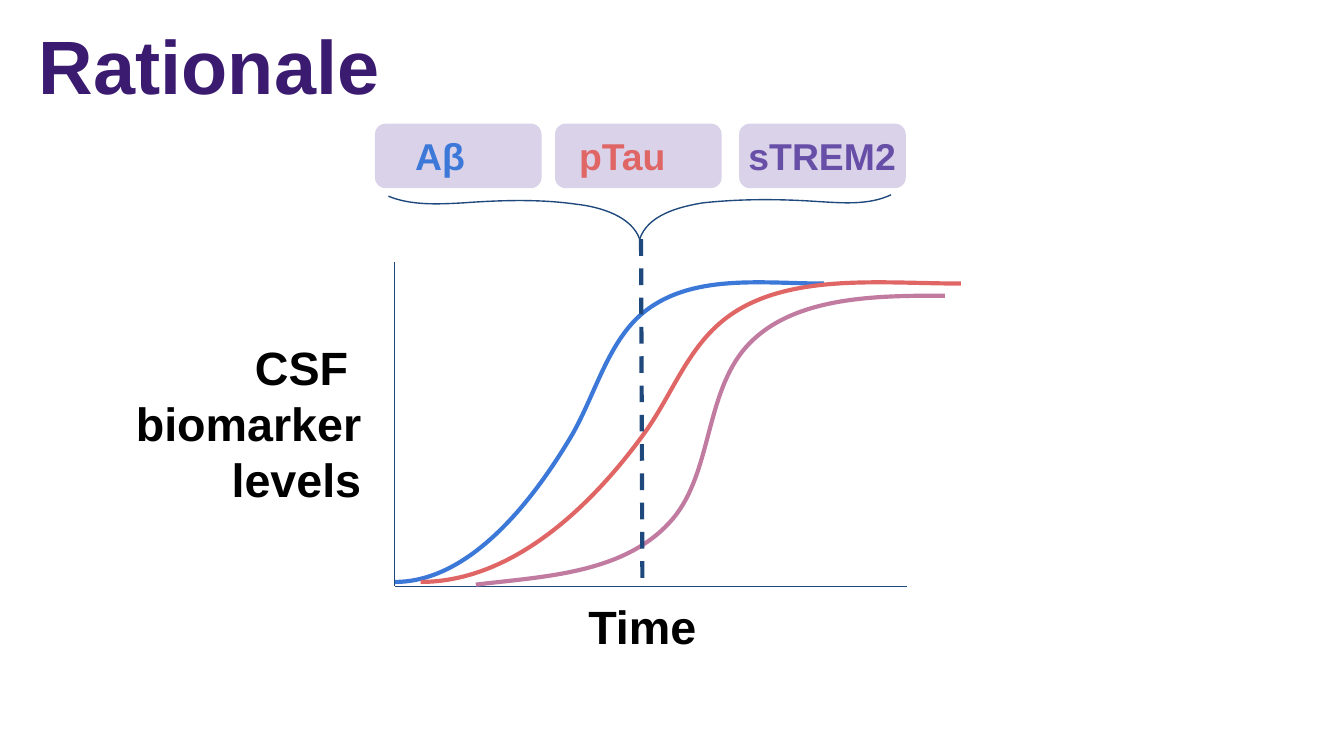
import lxml.etree
import pptx
import pptx.dml.color
import pptx.enum.dml
import pptx.enum.shapes
import pptx.enum.text
import pptx.oxml.ns
import pptx.util

RGBColor = pptx.dml.color.RGBColor
ALIGN = pptx.enum.text.PP_ALIGN
PURPLE = RGBColor(0x3B, 0x1B, 0x70)
BLACK = RGBColor(0x00, 0x00, 0x00)
NAVY = RGBColor(0x1F, 0x49, 0x7D)
BLUE = RGBColor(0x3C, 0x78, 0xD8)
RED = RGBColor(0xE0, 0x66, 0x66)
MAUVE = RGBColor(0xC2, 0x7B, 0xA0)
VIOLET = RGBColor(0x67, 0x4E, 0xA7)
LILAC = RGBColor(0xD9, 0xD2, 0xE9)

COLUMNS = 100
THIN, THICK = 0.75, 2.25
AXIS_LEFT, AXIS_RIGHT, AXIS_TOP, AXIS_BOTTOM = 29.37, 67.47, 19.5, 43.62
CARD_TOP, CARD_WIDTH, CARD_HEIGHT = 9.2, 12.4, 4.8


def write_text(frame, text, size, color, align=ALIGN.LEFT, font="Arial", leading=1.2):
    """Put each line of text in its own bold paragraph."""
    for index, line in enumerate(text.split("\n")):
        para = frame.paragraphs[0] if index == 0 else frame.add_paragraph()
        para.alignment = align
        para.line_spacing = pptx.util.Pt(size * leading)
        span = para.add_run()
        span.text = line
        span.font.name = font
        span.font.size = pptx.util.Pt(size)
        span.font.bold = True
        span.font.color.rgb = color


class SlideBuilder:
    """Draws on one slide with a square grid of 100 columns."""

    def __init__(self, deck):
        self.page = deck.slides.add_slide(deck.slide_layouts[6])
        self.cell = deck.slide_width / COLUMNS

    def grid(self, *cells):
        return [round(count * self.cell) for count in cells]

    def text(self, left, top, width, height, text, **style):
        box = self.page.shapes.add_textbox(*self.grid(left, top, width, height))
        box.text_frame.word_wrap = True
        write_text(box.text_frame, text, **style)

    def card(self, left, top, width, height):
        card = self.page.shapes.add_shape(
            pptx.enum.shapes.MSO_SHAPE.ROUNDED_RECTANGLE,
            *self.grid(left, top, width, height))
        card.shadow.inherit = False
        card.fill.solid()
        card.fill.fore_color.rgb = LILAC
        card.line.fill.background()

    def stroke(self, shape, color, weight):
        shape.line.color.rgb = color
        shape.line.width = pptx.util.Pt(weight)

    def line(self, start, end, weight=THIN, dash=None):
        line = self.page.shapes.add_connector(
            pptx.enum.shapes.MSO_CONNECTOR.STRAIGHT, *self.grid(*start, *end))
        self.stroke(line, NAVY, weight)
        if dash:
            line.line.dash_style = dash
        lxml.etree.SubElement(line._element.spPr, pptx.oxml.ns.qn("a:effectLst"))

    def curve(self, start, pieces, color, weight):
        """Draw joined cubic curves, each piece (control, control, end)."""
        outline = self.page.shapes.build_freeform(*self.grid(*start))
        outline.add_line_segments([self.grid(*piece[-1]) for piece in pieces], close=False)
        curve = outline.convert_to_shape()
        segments = list(curve._element.iter(pptx.oxml.ns.qn("a:lnTo")))
        for segment, piece in zip(segments, pieces):
            bend = lxml.etree.Element(pptx.oxml.ns.qn("a:cubicBezTo"))
            for point in piece:
                x, y = self.grid(*point)
                lxml.etree.SubElement(bend, pptx.oxml.ns.qn("a:pt"),
                                      x=str(x - curve.left), y=str(y - curve.top))
            segment.getparent().replace(segment, bend)
        curve.shadow.inherit = False
        curve.fill.background()
        self.stroke(curve, color, weight)


def main():
    deck = pptx.Presentation()
    deck.slide_width = pptx.util.Inches(10)
    deck.slide_height = deck.slide_width * 9 // 16
    slide = SlideBuilder(deck)

    slide.text(1.9, 0.9, 79.5, 7.8, "Rationale", size=40.5, color=PURPLE)

    origin = (AXIS_LEFT, AXIS_BOTTOM)
    slide.line((AXIS_LEFT, AXIS_TOP), origin)
    slide.line((AXIS_RIGHT, AXIS_BOTTOM), origin)
    slide.text(42.8, 44, 11.3, 5.2, "Time", size=25, color=BLACK)
    slide.text(9.05, 24.7, 18.8, 13.6, "CSF \nbiomarker \nlevels",
               size=25, color=BLACK, align=ALIGN.RIGHT)

    biomarker_curves = [
        (BLUE, (29.4, 43.3), [((34.9, 43.3), (39.6, 37.4), (42.6, 32.3)),
                              ((44.3, 29.3), (45.2, 25.6), (47.7, 23.4)),
                              ((51.3, 20.3), (56.7, 21.1), (61.3, 21.1))]),
        (RED, (31.3, 43.3), [((38.3, 43.3), (44.2, 37.4), (47.9, 32.3)),
                             ((50.1, 29.3), (51.2, 25.6), (54.4, 23.4)),
                             ((58.9, 20.3), (65.7, 21.1), (71.5, 21.1))]),
        (MAUVE, (35.4, 43.5), [((40.4, 42.9), (46.3, 42.7), (49.8, 38.9)),
                               ((52.9, 35.6), (52.4, 29.8), (55.2, 26.2)),
                               ((58.5, 22), (65.1, 22), (70.3, 22))]),
    ]
    for color, start, pieces in biomarker_curves:
        slide.curve(start, pieces, color, THICK)
    slide.line((47.7, 17.8), (47.8, 43.7), THICK, pptx.enum.dml.MSO_LINE.DASH)

    biomarkers = [
        ("Aβ", BLUE, 27.9, 29.9, 7),
        ("pTau", RED, 41.3, 42.1, 9.9),
        ("sTREM2", VIOLET, 55, 54.7, 13.2),
    ]
    for name, color, card_left, label_left, label_width in biomarkers:
        slide.card(card_left, CARD_TOP, CARD_WIDTH, CARD_HEIGHT)
        slide.text(label_left, CARD_TOP + 0.2, label_width, 4.4, name,
                   size=20, color=color)

    brace_halves = [
        ((28.9, 14.6), [((30.6, 15.3), (32.6, 15.2), (34.4, 15.1)),
                        ((37.2, 14.9), (40.1, 14.8), (42.9, 15.2)),
                        ((44.7, 15.4), (47, 16.1), (47.6, 17.8))]),
        ((66.3, 14.5), [((64.6, 15.3), (62.6, 15.1), (60.8, 15)),
                        ((57.9, 14.8), (55.1, 14.8), (52.3, 15.1)),
                        ((50.5, 15.4), (48.2, 16), (47.6, 17.8))]),
    ]
    for start, pieces in brace_halves:
        slide.curve(start, pieces, NAVY, THIN)

    deck.save("out.pptx")


if __name__ == "__main__":
    main()
